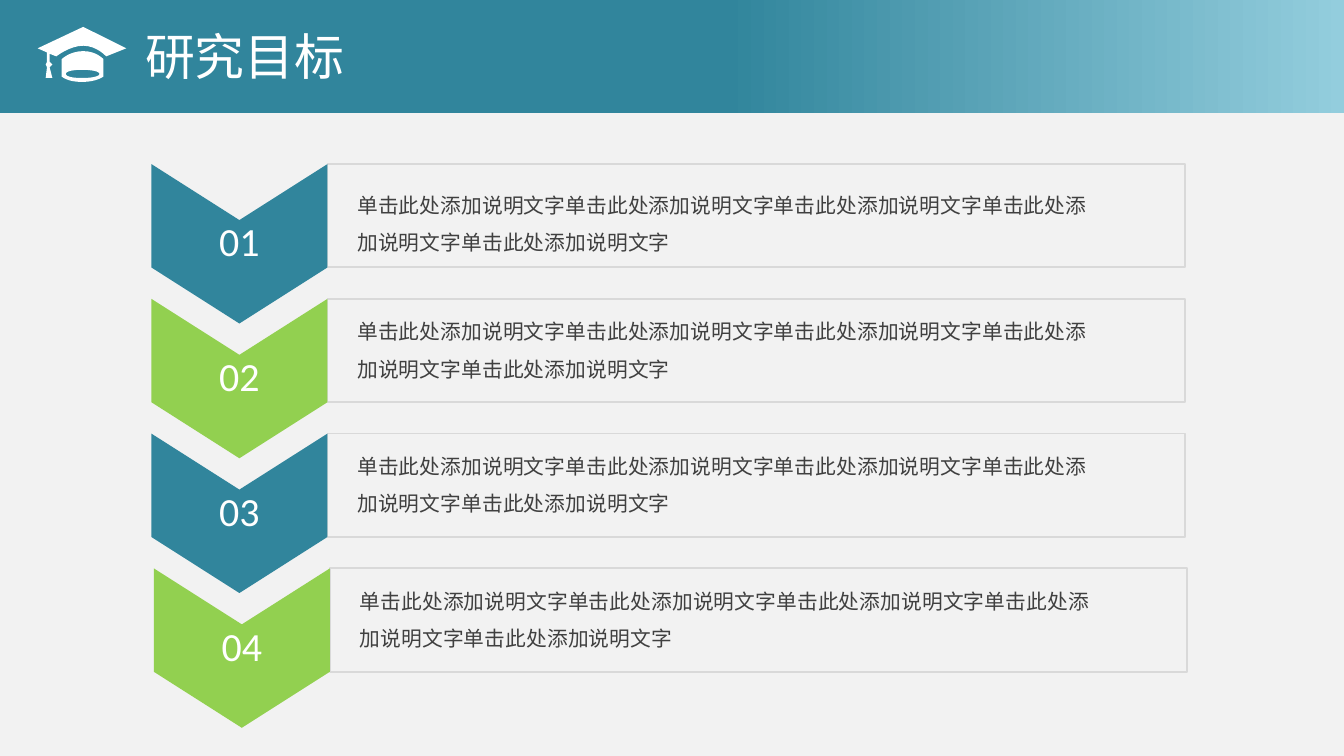
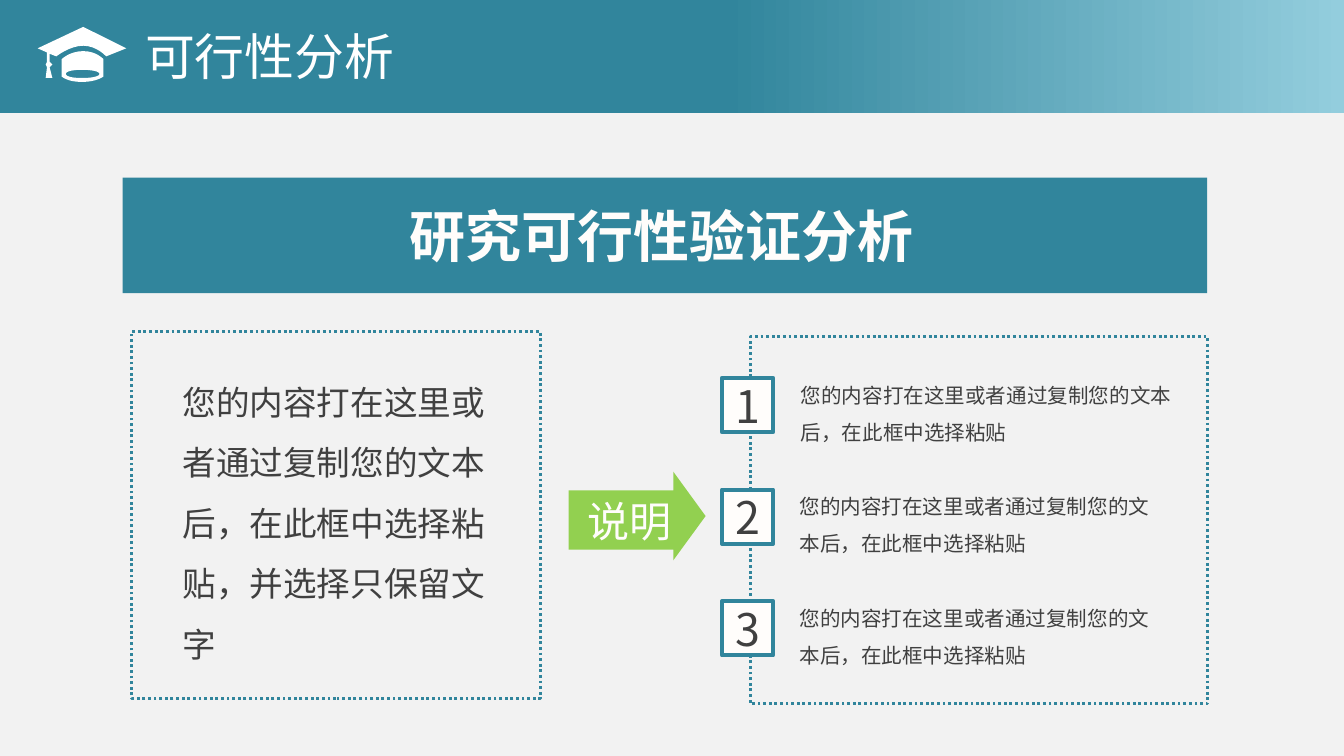
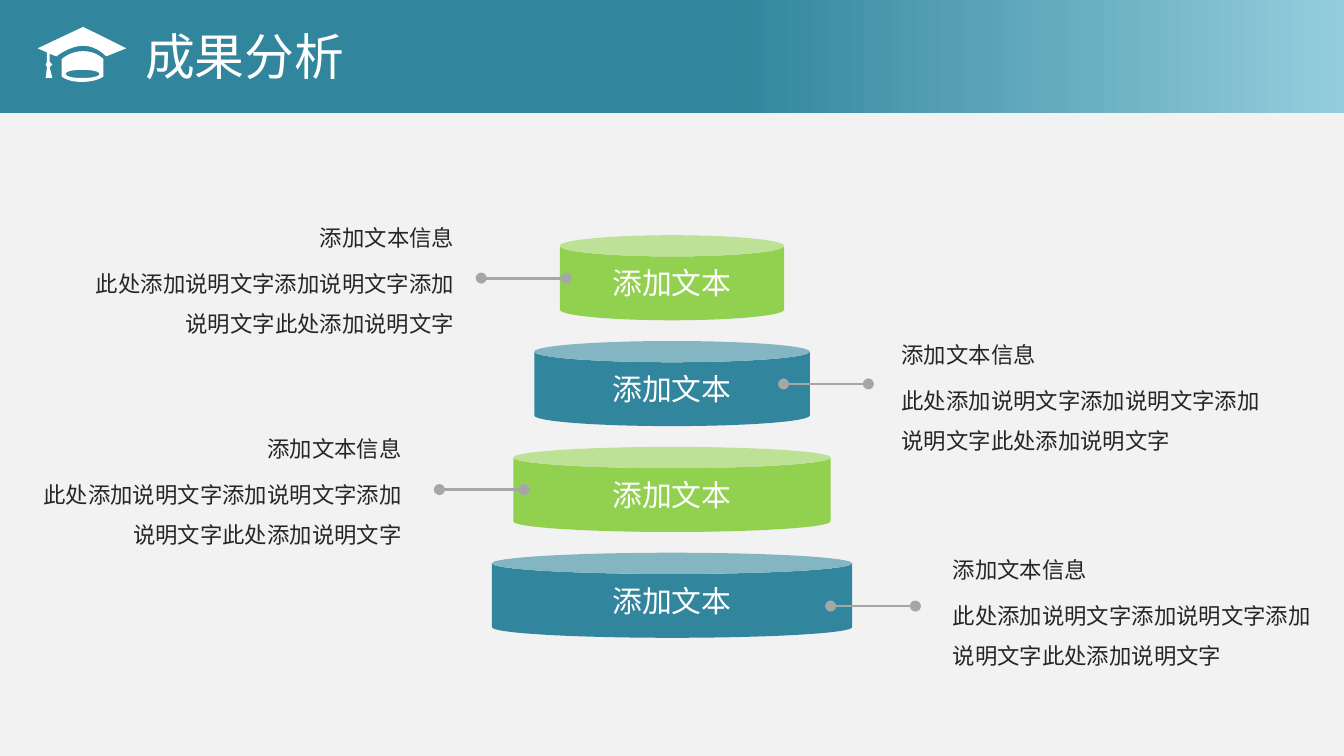
from itertools import cycle

from lxml import etree
from pptx import Presentation
from pptx.dml.color import RGBColor
from pptx.enum.dml import MSO_LINE
from pptx.enum.shapes import MSO_CONNECTOR, MSO_SHAPE
from pptx.enum.text import MSO_ANCHOR, MSO_AUTO_SIZE, PP_ALIGN
from pptx.oxml.ns import qn
from pptx.util import Pt

RECTANGLE, CAN = MSO_SHAPE.RECTANGLE, MSO_SHAPE.CAN
STRAIGHT, DOTTED = MSO_CONNECTOR.STRAIGHT, MSO_LINE.ROUND_DOT
LEFT, CENTER, RIGHT = PP_ALIGN.LEFT, PP_ALIGN.CENTER, PP_ALIGN.RIGHT
MIDDLE, GROW = MSO_ANCHOR.MIDDLE, MSO_AUTO_SIZE.SHAPE_TO_FIT_TEXT

HAN_FONT, NUMBER_FONT = "Noto Sans CJK SC", "Calibri"
TEAL, GREEN, SKY = "31859C", "92D050", "93CDDD"
PAPER, WHITE, CREAM = "F2F2F2", "FFFFFF", "FFFDFB"
INK, BLACK, BORDER, GREY = "404040", "262626", "D9D9D9", "A6A6A6"

# Outline steps: pairs are straight lines, sextuples are cubic curves.
CAP_BOARD = [
    (56.9, 30.2), (56.9, 30.2, 51.8, 24.5, 44.6, 24.5),
    (37.4, 24.5, 30.2, 30.2, 30.2, 30.2), (26.6, 28.8), (26.6, 33.1),
    (28.1, 34.6), (26.6, 36), (28.1, 41.8), (24.5, 41.8), (25.2, 36),
    (24.5, 34.6), (25.2, 33.1), (25.2, 28.1), (20.2, 25.9), (44.6, 14.4),
    (67.7, 25.9),
]
CAP_BASE = [
    (44.6, 27.4), (51.8, 27.4, 55.4, 31.7, 55.4, 31.7), (55.4, 41),
    (55.4, 41, 51.8, 43.9, 43.9, 43.9), (36, 43.9, 33.1, 41, 33.1, 41),
    (33.1, 31.7), (33.1, 31.7, 37.4, 27.4, 44.6, 27.4),
]
CAP_OPENING = [
    (43.9, 41.8), (49, 41.8, 53.3, 41, 53.3, 39.6),
    (53.3, 38.2, 49, 37.4, 43.9, 37.4), (38.9, 37.4, 35.3, 38.2, 35.3, 39.6),
    (35.3, 41, 38.9, 41.8, 43.9, 41.8),
]
ARROW = [(360.7, 252.7), (378, 276.5), (360.7, 300.2), (360.7, 294.5),
         (304.6, 294.5), (304.6, 262.8), (360.7, 262.8)]


def rgb(value):
    """Turn a hex string into a colour."""
    return RGBColor.from_string(value)


def paint(shape, fill=None, line=None, weight=1, dash=None):
    """Set fill and outline and drop the shadow."""
    shape.shadow.inherit = False
    if fill:
        shape.fill.solid()
        shape.fill.fore_color.rgb = rgb(fill)
    else:
        shape.fill.background()
    if line:
        shape.line.color.rgb = rgb(line)
        shape.line.width = Pt(weight)
        if dash:
            shape.line.dash_style = dash
    else:
        shape.line.fill.background()


def write(frame, texts, size, color, align=LEFT, spacing=None, before=0,
          font=HAN_FONT, bold=False):
    """Write one paragraph for each text."""
    for index, text in enumerate(texts):
        para = frame.add_paragraph() if index else frame.paragraphs[0]
        para.alignment = align
        if spacing:
            para.line_spacing = spacing
        if index:
            para.space_before = Pt(before)
        span = para.add_run()
        span.text = text
        span.font.name = font
        span.font.size = Pt(size)
        span.font.bold = bold
        span.font.color.rgb = rgb(color)


def set_insets(frame, side, top):
    """Set equal side margins and equal top and bottom margins."""
    frame.margin_left = frame.margin_right = Pt(side)
    frame.margin_top = frame.margin_bottom = Pt(top)


def add_block(page, kind, left, top, width, height, **style):
    """Add a preset shape with middle-anchored text."""
    block = page.shapes.add_shape(kind, Pt(left), Pt(top), Pt(width), Pt(height))
    paint(block, **style)
    block.text_frame.vertical_anchor = MIDDLE
    return block


def add_text(page, left, top, width, height, texts, size, color, wrap=True,
             grow=True, **style):
    """Add a text box."""
    box = page.shapes.add_textbox(Pt(left), Pt(top), Pt(width), Pt(height))
    box.text_frame.word_wrap = wrap
    if grow:
        box.text_frame.auto_size = GROW
    write(box.text_frame, texts, size, color, **style)


def trace(outline, steps=8):
    """Turn an outline of lines and cubic curves into points."""
    points = [outline[0]]
    for step in outline[1:]:
        if len(step) == 2:
            points.append(step)
            continue
        x, y = points[-1]
        for index in range(1, steps + 1):
            t = index / steps
            weights = ((1 - t) ** 3, 3 * t * (1 - t) ** 2, 3 * t * t * (1 - t), t ** 3)
            points.append((sum(w * v for w, v in zip(weights, (x, *step[::2]))),
                           sum(w * v for w, v in zip(weights, (y, *step[1::2])))))
    return [(Pt(x), Pt(y)) for x, y in points]


def add_outline(page, outlines, fill):
    """Add a filled freeform made of closed outlines."""
    first, *others = [trace(outline) for outline in outlines]
    builder = page.shapes.build_freeform(*first[0])
    builder.add_line_segments(first[1:], close=True)
    for points in others:
        builder.move_to(*points[0])
        builder.add_line_segments(points[1:], close=True)
    shape = builder.convert_to_shape()
    paint(shape, fill)
    return shape


def add_pin(page, left, top, length):
    """Add a level line with a dot at both ends."""
    pin = page.shapes.add_connector(STRAIGHT, Pt(left), Pt(top), Pt(left + length), Pt(top))
    pin.line.color.rgb = rgb(GREY)
    pin.line.width = Pt(1.5)
    properties = pin._element.spPr
    outline = properties.find(qn("a:ln"))
    for end in ("a:headEnd", "a:tailEnd"):
        etree.SubElement(outline, qn(end), type="oval")
    etree.SubElement(properties, qn("a:effectLst"))


def add_page(deck, title):
    """Add a page with the title band and the cap."""
    page = deck.slides.add_slide(deck.slide_layouts[6])
    band = add_block(page, RECTANGLE, 0, 0, 720, 60.5)
    band.fill.gradient()
    band.fill.gradient_angle = 180
    for stop, color, position in zip(band.fill.gradient_stops, (SKY, TEAL), (0, 0.46)):
        stop.color.rgb = rgb(color)
        stop.position = position
    add_text(page, 70.6, 10.1, 303.8, 39.6, [title], 26.7, WHITE)
    add_outline(page, [CAP_BOARD, CAP_BASE, CAP_OPENING], WHITE)
    return page


def add_goal(page, number, left, top, color, drop):
    """Add a numbered chevron and its framed explanation."""
    width, side, notch = 94.3, 55.4, 30
    right, middle = left + width, left + width / 2
    add_block(page, RECTANGLE, right, top, 459.4, side, fill=PAPER, line=BORDER)
    add_text(page, right + 8.9, top + drop, 406.8, 47.5, ["单击此处添加说明文字" * 5],
             11.1, INK, spacing=1.5)
    chevron = add_outline(page, [[
        (right, top), (right, top + side), (middle, top + side + notch),
        (left, top + side), (left, top), (middle, top + notch)]], color)
    frame = chevron.text_frame
    frame.vertical_anchor = MIDDLE
    set_insets(frame, 0.7, 33.8)
    write(frame, [number], 21.4, WHITE, CENTER, 0.9, font=NUMBER_FONT)


def add_point(page, number, top, text_left, text_width):
    """Add a numbered square and its explanation."""
    add_text(page, text_left, top - 7.6, text_width, 44.6,
             ["您的内容打在这里或者通过复制您的文本后，在此框中选择粘贴"], 11, INK, spacing=1.5)
    square = add_block(page, RECTANGLE, 386.8, top, 27.4, 29, fill=CREAM, line=TEAL, weight=2.25)
    set_insets(square.text_frame, 5, 2.9)
    write(square.text_frame, [number], 24, INK, CENTER)


def build_goals(deck):
    """Build the page of research goals."""
    page = add_page(deck, "研究目标")
    goals = [("01", 81.1, 5), ("02", 81.1, 0.7), ("03", 81.1, 0.7), ("04", 82.4, 0.7)]
    for index, ((number, left, drop), color) in enumerate(zip(goals, cycle((TEAL, GREEN)))):
        add_goal(page, number, left, 87.9 + 72.2 * index, color, drop)


def build_feasibility(deck):
    """Build the page of feasibility."""
    page = add_page(deck, "可行性分析")
    frame_style = {"line": TEAL, "weight": 1.5, "dash": DOTTED}
    add_block(page, RECTANGLE, 65.7, 95.2, 581, 61.9, fill=TEAL)
    add_text(page, 212.4, 104.4, 287.3, 43.9, ["研究可行性验证分析"], 30, CREAM,
             wrap=False, bold=True)
    add_block(page, RECTANGLE, 70.5, 177.6, 219, 196.6, **frame_style)
    add_text(page, 90.7, 190.1, 178.6, 170.6,
             ["您的内容打在这里或者通过复制您的文本后，在此框中选择粘贴，并选择只保留文字"],
             18, INK, spacing=1.5)
    add_outline(page, [ARROW], GREEN)
    add_text(page, 307.4, 262.1, 59.8, 34.6, ["说明"], 22.5, CREAM, wrap=False, align=CENTER)
    add_block(page, RECTANGLE, 402, 180.5, 245, 196.6, **frame_style)
    points = [("1", 421.9, 216.7), ("2", 421.2, 210.2), ("3", 421.2, 210.2)]
    for index, (number, left, width) in enumerate(points):
        add_point(page, number, 202.5 + 59.8 * index, left, width)


def build_results(deck):
    """Build the page of results."""
    page = add_page(deck, "成果分析")
    tiers = [
        (120.2, 257.8, 149, 36.7, 109.4, RIGHT),
        (147.6, 419.8, 205.7, 475.9, 172.1, LEFT),
        (170, 235.4, 262.3, 8.6, 222.5, RIGHT),
        (193, 445, 324.7, 503.3, 287.3, LEFT),
    ]
    for index, (tier, color) in enumerate(zip(tiers, cycle((GREEN, TEAL)))):
        width, pin_left, pin_top, left, top, align = tier
        drum = add_block(page, CAN, 360 - width / 2, 126 + 56.7 * index, width, 45.6, fill=color)
        write(drum.text_frame, ["添加文本"], 16, WHITE, CENTER)
        add_pin(page, pin_left, pin_top, 45.4)
        add_text(page, left, top, 213.8, 74.9,
                 ["添加文本信息", "此处添加说明文字添加说明文字添加说明文字此处添加说明文字"],
                 12, BLACK, grow=False, align=align, spacing=1.5, before=3)


def main():
    """Build and save the deck."""
    deck = Presentation()
    deck.slide_width, deck.slide_height = Pt(720), Pt(405)
    backdrop = deck.slide_master.background.fill
    backdrop.solid()
    backdrop.fore_color.rgb = rgb(PAPER)
    build_goals(deck)
    build_feasibility(deck)
    build_results(deck)
    deck.save("out.pptx")


if __name__ == "__main__":
    main()
